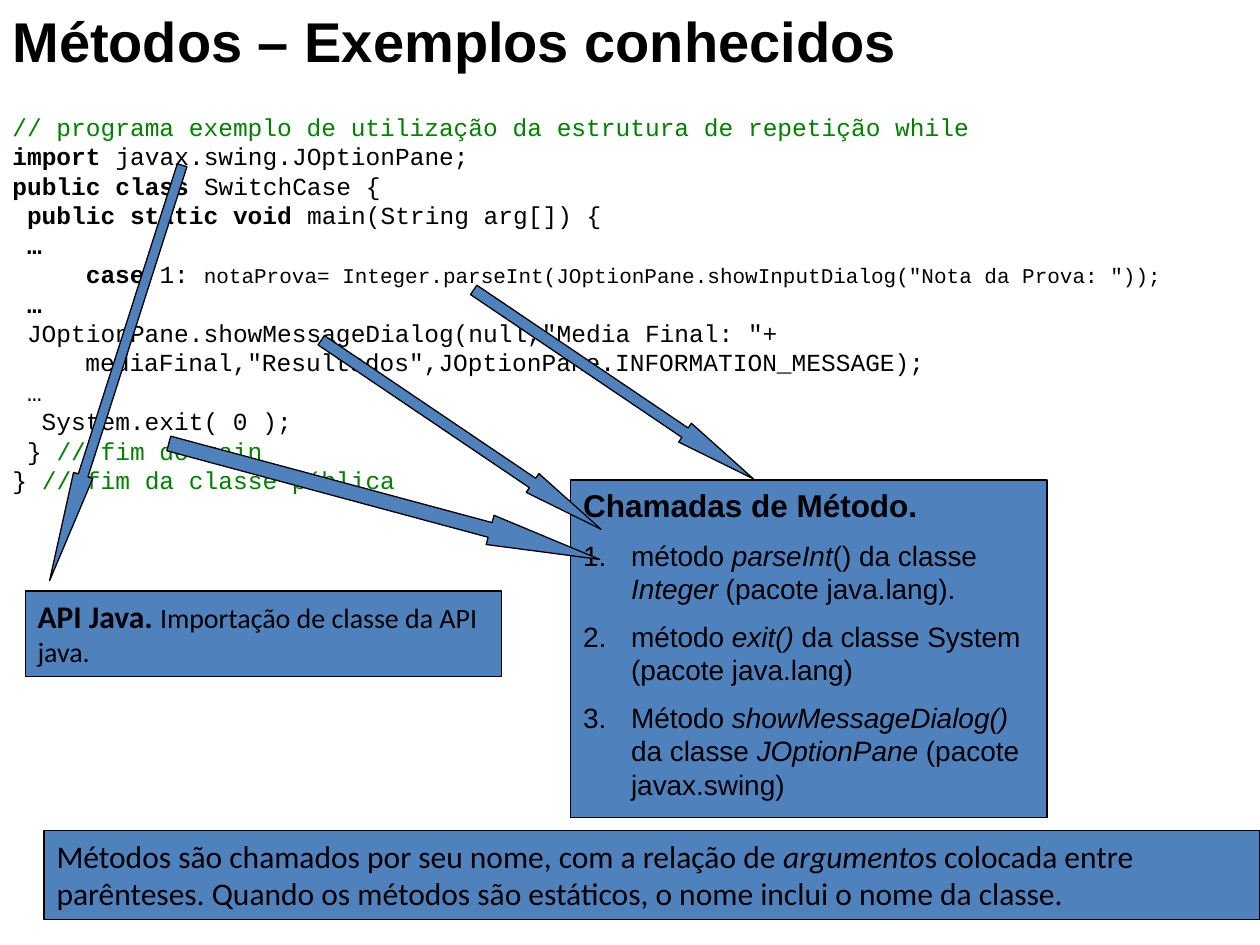
import math
from dataclasses import dataclass

from lxml import etree
from pptx import Presentation
from pptx import util as u
from pptx.dml.color import RGBColor
from pptx.enum import shapes, text
from pptx.oxml.ns import qn


@dataclass(frozen=True)
class Theme:
    ink: str = "000000"
    comment: str = "008000"
    panel: str = "4F81BD"
    sans: str = "Arial"
    body: str = "Calibri"
    mono: str = "Courier New"
    title: int = 32
    lead: int = 18
    item: int = 16
    code: int = 14
    small_code: int = 12
    outline: float = 0.75


THEME = Theme()
WIDTH, HEIGHT = 10, 7.5
COLUMN, ROW = WIDTH / 100, HEIGHT / 100
HANG = 0.58
CODE_STEP = 0.6 * THEME.code / 72
NUMBER_HANG = 0.38

KEYWORD = {"bold": True}
COMMENT = {"color": THEME.comment}
SMALL = {"size": THEME.small_code}
ITALIC = {"italic": True}

CODE = [
    (0, [("// programa exemplo de utilização da estrutura de repetição while", COMMENT)]),
    (0, [("import", KEYWORD), (" javax.swing.JOptionPane;", {})]),
    (0, [("public class", KEYWORD), (" SwitchCase {", {})]),
    (1, [("public static void", KEYWORD), (" main(String arg[]) {", {})]),
    (1, [("…", KEYWORD)]),
    (5, [("case", KEYWORD), (" 1: ", {}),
         ("notaProva= Integer.parseInt(JOptionPane.showInputDialog(\"Nota da Prova: \"));", SMALL)]),
    (1, [("…", KEYWORD)]),
    (1, [("JOptionPane.showMessageDialog(null,\"Media Final: \"+ "
          "mediaFinal,\"Resultados\",JOptionPane.INFORMATION_MESSAGE);", {})]),
    (1, [("…", {})]),
    (2, [("System.exit( 0 );", {})]),
    (1, [("} ", {}), ("// fim do main", COMMENT)]),
    (0, [("} ", {}), ("// fim da classe pública", COMMENT)]),
]

CALLS = [
    [("método ", {}), ("parseInt", ITALIC), ("() da classe ", {}),
     ("Integer ", ITALIC), ("(pacote java.lang).", {})],
    [("método ", {}), ("exit()", ITALIC), (" da classe System (pacote java.lang)", {})],
    [("Método ", {}), ("showMessageDialog()", ITALIC), (" da classe ", {}),
     ("JOptionPane", ITALIC), (" (pacote javax.swing)", {})],
]

ARROWS = [
    ((14.46, 17.49), (3.94, 61.44), 0.16, 5.48),
    ((37.6, 30.67), (59.8, 50.67), 0.18, 3.64),
    ((25.5, 36), (47.7, 56), 0.18, 3.64),
    ((13.4, 46.93), (47.6, 59.2), 0.24, 3.75),
]


def place(column, row, columns, rows):
    return [u.Inches(n) for n in (column * COLUMN, row * ROW, columns * COLUMN, rows * ROW)]


def add_span(para, words, font=THEME.sans, size=THEME.item, color=THEME.ink,
             bold=False, italic=False):
    span = para.add_run()
    span.text = words
    span.font.name = font
    span.font.size = u.Pt(size)
    span.font.color.rgb = RGBColor.from_string(color)
    span.font.bold = bold
    span.font.italic = italic


def add_para(box, spans, margin=0, indent=0, before=0, numbered=False, **base):
    frame = box.text_frame
    para = frame.paragraphs[0]
    if para.runs:
        para = frame.add_paragraph()
    para.alignment = text.PP_ALIGN.LEFT
    para.space_before = u.Pt(before)
    properties = para._p.get_or_add_pPr()
    properties.set("marL", str(u.Inches(margin)))
    properties.set("indent", str(u.Inches(indent)))
    if numbered:
        etree.SubElement(properties, qn("a:buFont"), typeface="+mj-lt")
        etree.SubElement(properties, qn("a:buAutoNum"), type="arabicPeriod")
    for words, style in spans:
        add_span(para, words, **{**base, **style})


def paint(shape):
    shape.shadow.inherit = False
    shape.fill.solid()
    shape.fill.fore_color.rgb = RGBColor.from_string(THEME.panel)
    shape.line.color.rgb = RGBColor.from_string(THEME.ink)
    shape.line.width = u.Pt(THEME.outline)


def add_text_box(page, *area):
    box = page.shapes.add_textbox(*place(*area))
    box.text_frame.word_wrap = True
    return box


def add_panel(page, *area):
    box = page.shapes.add_shape(shapes.MSO_SHAPE.RECTANGLE, *place(*area))
    paint(box)
    box.text_frame.word_wrap = True
    box.text_frame.vertical_anchor = text.MSO_ANCHOR.TOP
    return box


def add_arrow(page, start, end, width, head):
    across = (end[0] - start[0]) * COLUMN
    down = (end[1] - start[1]) * ROW
    length = math.hypot(across, down)
    left = (start[0] + end[0]) / 2 * COLUMN - width / 2
    top = (start[1] + end[1]) / 2 * ROW - length / 2
    arrow = page.shapes.add_shape(shapes.MSO_SHAPE.DOWN_ARROW,
                                  *[u.Inches(n) for n in (left, top, width, length)])
    paint(arrow)
    arrow.rotation = math.degrees(math.atan2(-across, down)) % 360
    arrow.adjustments[0] = 0.5
    arrow.adjustments[1] = head


def main():
    deck = Presentation()
    deck.slide_width, deck.slide_height = u.Inches(WIDTH), u.Inches(HEIGHT)
    page = deck.slides.add_slide(deck.slide_layouts[6])

    listing = add_text_box(page, 0, 11.2, 100, 42)
    for depth, spans in CODE:
        add_para(listing, spans, margin=HANG, indent=depth * CODE_STEP - HANG,
                 font=THEME.mono, size=THEME.code)

    title = add_text_box(page, 0, 0, 100, 8.53)
    add_para(title, [("Métodos – Exemplos conhecidos", {})], size=THEME.title, bold=True)

    import_arrow, *call_arrows = ARROWS
    add_arrow(page, *import_arrow)

    api = add_panel(page, 2, 62.53, 37.8, 9.07)
    add_para(api, [("API Java. ", {"size": THEME.lead, "bold": True}),
                   ("Importação de classe da API java.", {})], font=THEME.body)

    calls = add_panel(page, 45.3, 50.8, 37.8, 35.73)
    add_para(calls, [("Chamadas de Método.", {})], margin=NUMBER_HANG,
             indent=-NUMBER_HANG, size=THEME.lead, bold=True)
    for spans in CALLS:
        add_para(calls, spans, margin=NUMBER_HANG, indent=-NUMBER_HANG,
                 before=THEME.item / 2, numbered=True)

    for arrow in call_arrows:
        add_arrow(page, *arrow)

    summary = add_panel(page, 3.5, 87.87, 96.5, 9.47)
    add_para(summary, [("Métodos são chamados por seu nome, com a relação de ", {}),
                       ("argumento", ITALIC),
                       ("s colocada entre parênteses. Quando os métodos são estáticos, "
                        "o nome inclui o nome da classe.", {})],
             font=THEME.body, size=THEME.lead)

    deck.save("out.pptx")


if __name__ == "__main__":
    main()
